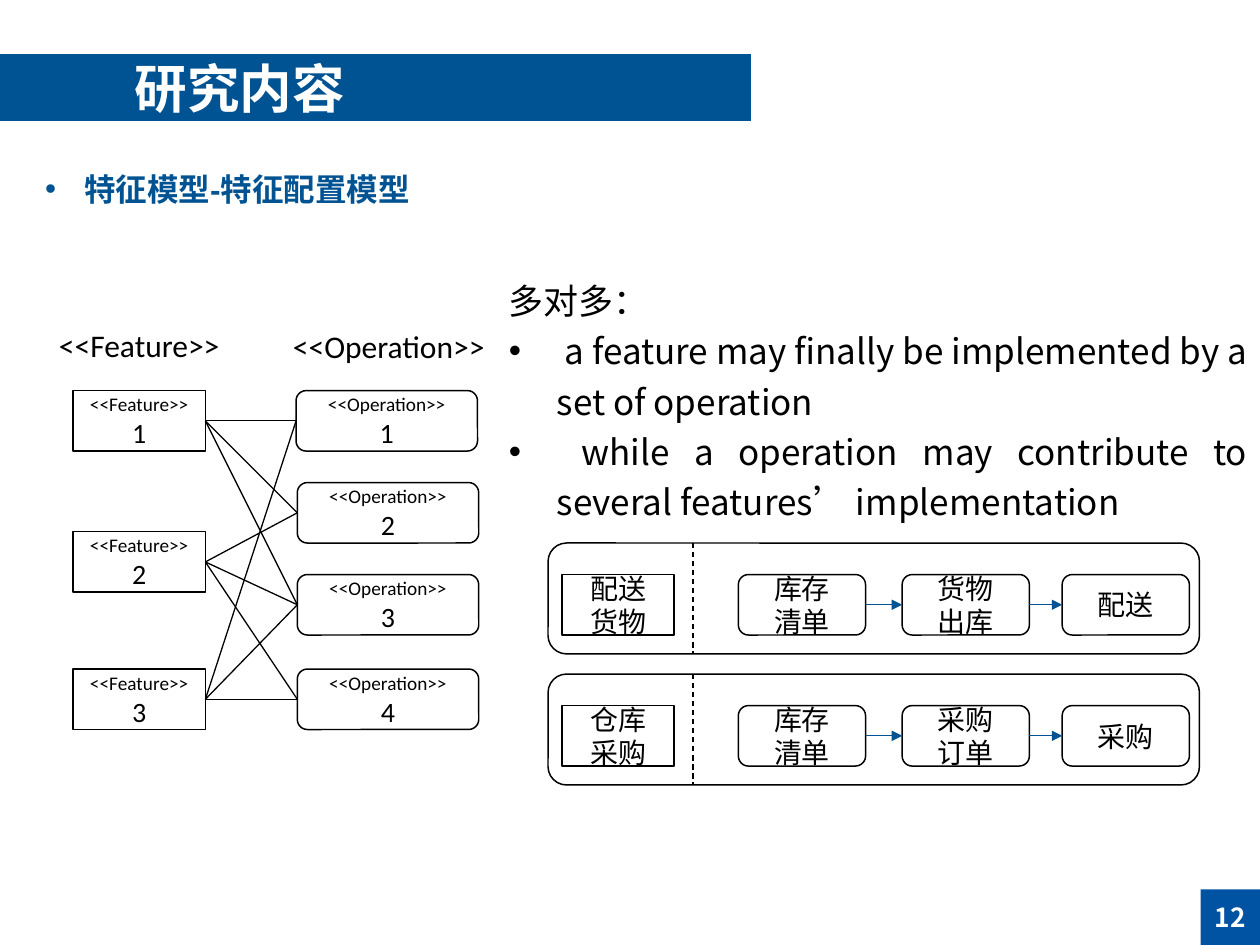
from lxml import etree
from pptx import Presentation
from pptx.dml.color import RGBColor
from pptx.enum.dml import MSO_LINE
from pptx.enum.shapes import MSO_CONNECTOR, MSO_SHAPE
from pptx.enum.text import MSO_ANCHOR, MSO_AUTO_SIZE, PP_ALIGN
from pptx.oxml.ns import qn
from pptx.util import Inches, Pt

RECTANGLE, ROUNDED = MSO_SHAPE.RECTANGLE, MSO_SHAPE.ROUNDED_RECTANGLE
STRAIGHT, DASH = MSO_CONNECTOR.STRAIGHT, MSO_LINE.DASH
LEFT, CENTER, JUSTIFY = PP_ALIGN.LEFT, PP_ALIGN.CENTER, PP_ALIGN.JUSTIFY
MIDDLE, TOP = MSO_ANCHOR.MIDDLE, MSO_ANCHOR.TOP
LEFT_SIDE, RIGHT_SIDE = 1, 3

COLORS = {"blue": "005392", "page": "0053A3", "black": "000000", "white": "FFFFFF"}
CJK_FONT = "Noto Sans CJK SC"

TITLE = "研究内容"
PAGE_NUMBER = "12"
HEADING = "特征模型-特征配置模型"
EXPLANATION = [
    "多对多：",
    " a feature may finally be implemented by a set of operation",
    " while a operation may contribute to several features’ implementation",
]
COLUMN_LABELS = [("<<Feature>>", 0.34, 2.54, 1.53), ("<<Operation>>", 2.19, 2.55, 1.79)]
FEATURE_TOPS = [3.1, 4.22, 5.31]
OPERATION_POSITIONS = [(2.35, 3.1), (2.36, 3.83), (2.36, 4.56), (2.36, 5.31)]
FEATURE_OPERATIONS = {1: [1, 2, 3], 2: [2, 3, 4], 3: [1, 3, 4]}
PROCESSES = [
    (4.31, ["配送", "货物"], [["库存", "清单"], ["货物", "出库"], ["配送"]]),
    (5.35, ["仓库", "采购"], [["库存", "清单"], ["采购", "订单"], ["采购"]]),
]
STEP_LEFTS = [5.86, 7.16, 8.43]
BOX_HEIGHT = 0.48


def color(name):
    return RGBColor.from_string(COLORS[name])


def write(shape, lines, sizes, font="Calibri", ink="black", bold=False, align=CENTER,
          anchor=MIDDLE, spacing=None, indent=0, bullets_from=None):
    """Fill a shape with one paragraph a line; bullet those from bullets_from on."""
    frame = shape.text_frame
    frame.word_wrap = True
    frame.auto_size = MSO_AUTO_SIZE.NONE
    frame.vertical_anchor = anchor
    for index, (line, size) in enumerate(zip(lines, sizes)):
        paragraph = frame.paragraphs[0] if index == 0 else frame.add_paragraph()
        paragraph.alignment = align
        if spacing:
            paragraph.line_spacing = spacing
        run = paragraph.add_run()
        run.text = line
        run.font.name, run.font.size, run.font.bold = font, Pt(size), bold
        run.font.color.rgb = color(ink)
        east_asian = etree.SubElement(run.font._element, qn("a:ea"))
        east_asian.set("typeface", font if "CJK" in font else CJK_FONT)
        if bullets_from is not None and index >= bullets_from:
            properties = paragraph._p.get_or_add_pPr()
            properties.set("marL", str(Inches(indent)))
            properties.set("indent", str(-Inches(indent)))
            etree.SubElement(properties, qn("a:buFont")).set("typeface", "Arial")
            etree.SubElement(properties, qn("a:buChar")).set("char", "•")


def place(shape, left, top, width, height):
    shape.left, shape.top = Inches(left), Inches(top)
    shape.width, shape.height = Inches(width), Inches(height)


def add_text(slide, box, lines, sizes, **text_format):
    shape = slide.shapes.add_textbox(*map(Inches, box))
    write(shape, lines, sizes, anchor=TOP, **text_format)


def add_box(slide, kind, box, fill="white", outline="black"):
    shape = slide.shapes.add_shape(kind, *map(Inches, box))
    shape.shadow.inherit = False
    if fill:
        shape.fill.solid()
        shape.fill.fore_color.rgb = color(fill)
    else:
        shape.fill.background()
    if outline:
        shape.line.color.rgb = color(outline)
        shape.line.width = Pt(0.85)
    else:
        shape.line.fill.background()
    return shape


def add_line(slide, start=(0, 0), end=(0, 0), ink="black", dash=None):
    line = slide.shapes.add_connector(STRAIGHT, *map(Inches, (*start, *end)))
    line.line.color.rgb = color(ink)
    line.line.width = Pt(0.75)
    if dash:
        line.line.dash_style = dash
    etree.SubElement(line._element.spPr, qn("a:effectLst"))
    return line


def join(slide, source, target, ink="black", arrow=False):
    line = add_line(slide, ink=ink)
    line.begin_connect(source, RIGHT_SIDE)
    line.end_connect(target, LEFT_SIDE)
    if arrow:
        etree.SubElement(line.line._get_or_add_ln(), qn("a:tailEnd")).set("type", "triangle")


def add_header(slide):
    title = slide.shapes.title
    place(title, 0, 0.43, 5.96, 0.53)
    title.fill.solid()
    title.fill.fore_color.rgb = color("blue")
    frame = title.text_frame
    frame.margin_left, frame.margin_right = Inches(1.07), Inches(0.07)
    frame.margin_top = frame.margin_bottom = Inches(0.04)
    write(title, [TITLE], [30], font="Noto Sans CJK JP", ink="white", bold=True, align=LEFT)
    page = add_box(slide, RECTANGLE, (9.53, 7.06, 0.47, 0.44), fill="page", outline=None)
    write(page, [PAGE_NUMBER], [15], font=CJK_FONT, ink="white", bold=True)
    add_text(slide, (0.26, 1.3, 3.13, 0.4), [HEADING], [18], font="Arial", ink="blue",
             bold=True, align=LEFT, indent=0.31, bullets_from=0)


def add_mapping(slide):
    for label, left, top, width in COLUMN_LABELS:
        add_text(slide, (left, top, width, 0.4), [label], [18])
    features, operations = {}, {}
    for number, top in enumerate(FEATURE_TOPS, 1):
        features[number] = add_box(slide, RECTANGLE, (0.58, top, 1.05, BOX_HEIGHT))
        write(features[number], ["<<Feature>>", str(number)], [11, 16])
    for number, (left, top) in enumerate(OPERATION_POSITIONS, 1):
        operations[number] = add_box(slide, ROUNDED, (left, top, 1.44, BOX_HEIGHT))
        write(operations[number], ["<<Operation>>", str(number)], [11, 16])
    for feature, targets in FEATURE_OPERATIONS.items():
        for operation in targets:
            join(slide, features[feature], operations[operation])


def add_process(slide, top, feature, steps):
    add_box(slide, ROUNDED, (4.35, top, 5.17, 0.88), fill=None)
    box_top = top + 0.25
    feature_box = add_box(slide, RECTANGLE, (4.46, box_top, 0.89, BOX_HEIGHT))
    write(feature_box, feature, [16] * len(feature))
    step_boxes = []
    for left, step in zip(STEP_LEFTS, steps):
        step_box = add_box(slide, ROUNDED, (left, box_top, 1.01, BOX_HEIGHT))
        write(step_box, step, [16] * len(step))
        step_boxes.append(step_box)
    for source, target in zip(step_boxes, step_boxes[1:]):
        join(slide, source, target, ink="blue", arrow=True)
    add_line(slide, (5.5, top), (5.5, top + 0.88), dash=DASH)


def main():
    presentation = Presentation()
    presentation.slide_width, presentation.slide_height = Inches(10), Inches(7.5)
    slide = presentation.slides.add_slide(presentation.slide_layouts[5])
    add_header(slide)
    add_mapping(slide)
    add_text(slide, (3.94, 2.1, 6.06, 2.12), EXPLANATION, [20] * len(EXPLANATION),
             font=CJK_FONT, align=JUSTIFY, spacing=1.2, indent=0.38, bullets_from=1)
    for process in PROCESSES:
        add_process(slide, *process)
    presentation.save("out.pptx")


if __name__ == "__main__":
    main()
